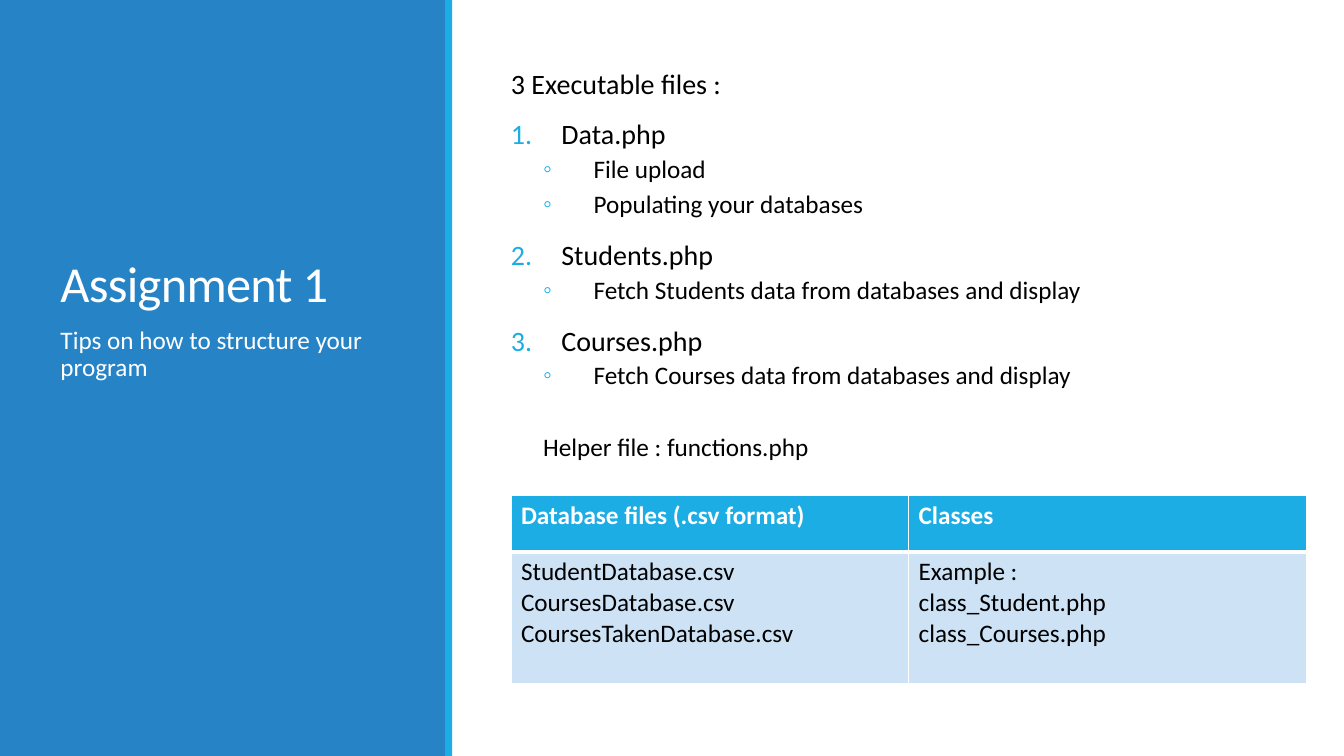
"""Build the Assignment 1 slide on structuring a program."""
from lxml.etree import SubElement, fromstring
from pptx import Presentation
from pptx.dml.color import RGBColor
from pptx.enum.shapes import MSO_SHAPE
from pptx.enum.text import MSO_ANCHOR, MSO_AUTO_SIZE, PP_ALIGN
from pptx.oxml.ns import nsdecls, qn
from pptx.util import Pt

COLORS = {"panel": "2683C6", "accent": "1CADE4", "cell": "CDE3F5",
          "white": "FFFFFF", "black": "000000"}


def write(para, text, color, size, bold=False, **spacing):
    span = para.add_run()
    span.text = text
    font = {"name": "Calibri", "size": Pt(size), "bold": bold}
    for name, value in font.items():
        setattr(span.font, name, value)
    span.font.color.rgb = RGBColor.from_string(COLORS[color])
    for name, value in {"alignment": PP_ALIGN.LEFT, **spacing}.items():
        setattr(para, name, value)
    return span


def place(box, left, top, width, height, anchor, side_margin):
    frame = box.text_frame
    for name, value in zip(("left", "top", "width", "height"), (left, top, width, height)):
        setattr(box, name, Pt(value))
    layout = {"word_wrap": True, "auto_size": MSO_AUTO_SIZE.NONE, "vertical_anchor": anchor,
              "margin_left": Pt(side_margin), "margin_right": Pt(side_margin),
              "margin_top": Pt(3.6), "margin_bottom": Pt(3.6)}
    for name, value in layout.items():
        setattr(frame, name, value)
    return frame


deck = Presentation()
deck.slide_width, deck.slide_height = Pt(960), Pt(540)
page = deck.slides.add_slide(deck.slide_layouts.get_by_name("Content with Caption"))
title, outline, subtitle = page.placeholders

panels = [(0, 319, "panel"), (318, 5, "accent")]
for order, (left, width, color) in enumerate(panels, start=2):
    panel = page.shapes.add_shape(MSO_SHAPE.RECTANGLE, Pt(left), 0, Pt(width), deck.slide_height)
    panel.shadow.inherit = False
    panel.fill.solid()
    panel.fill.fore_color.rgb = RGBColor.from_string(COLORS[color])
    panel.line.fill.background()
    page.shapes._spTree.insert(order, panel._element)

frame = place(title, 36, 46.8, 252, 180, MSO_ANCHOR.BOTTOM, 7.2)
span = write(frame.paragraphs[0], "Assignment 1", "white", 36, line_spacing=0.85)
span._r.get_or_add_rPr().set("spc", "-50")

frame = place(subtitle, 36, 230.4, 252, 266.4, MSO_ANCHOR.TOP, 7.2)
write(frame.paragraphs[0], "Tips on how to structure your program", "white", 18,
      line_spacing=0.9, space_before=Pt(12), space_after=Pt(2))

styles = {
    "intro": {"level": 0, "size": 20, "before": 12, "after": 2, "margin": 0, "indent": 0,
              "bullet": ("a:buNone", {})},
    "file": {"level": 0, "size": 20, "before": 12, "after": 2, "margin": 36, "indent": -36,
             "bullet": ("a:buAutoNum", {"type": "arabicPeriod"})},
    "task": {"level": 1, "size": 18, "before": 2, "after": 4, "margin": 59, "indent": -36,
             "bullet": ("a:buChar", {"char": "◦"})},
    "helper": {"level": 1, "size": 18, "before": 28, "after": 4, "margin": 23, "indent": 0,
               "bullet": ("a:buNone", {})},
}
items = [
    ("intro", "3 Executable files :"),
    ("file", "Data.php"),
    ("task", "File upload"),
    ("task", "Populating your databases"),
    ("file", "Students.php"),
    ("task", "Fetch Students data from databases and display"),
    ("file", "Courses.php"),
    ("task", "Fetch Courses data from databases and display"),
    ("helper", "Helper file : functions.php"),
]
frame = place(outline, 365, 46.8, 511.2, 374.4, MSO_ANCHOR.TOP, 0)
for order, (kind, text) in enumerate(items):
    para = frame.add_paragraph() if order else frame.paragraphs[0]
    style = styles[kind]
    write(para, text, "black", style["size"], level=style["level"], line_spacing=0.9,
          space_before=Pt(style["before"]), space_after=Pt(style["after"]))
    props = para._p.get_or_add_pPr()
    props.set("marL", str(Pt(style["margin"])))
    props.set("indent", str(Pt(style["indent"])))
    tint = SubElement(props, qn("a:buClr"))
    SubElement(tint, qn("a:srgbClr"), val=COLORS["accent"])
    tag, attributes = style["bullet"]
    SubElement(props, qn(tag), attributes)

rows = [
    (40, "accent", "white", ["Database files (.csv format)", "Classes"]),
    (94, "cell", "black", ["StudentDatabase.csv\nCoursesDatabase.csv\nCoursesTakenDatabase.csv",
                           "Example :\nclass_Student.php\nclass_Courses.php"]),
]
table = page.shapes.add_table(2, 2, Pt(365), Pt(354.2), Pt(568), Pt(134)).table
for row, (height, fill, color, texts) in enumerate(rows):
    table.rows[row].height = Pt(height)
    borders = {"lnL": 1, "lnR": 1, "lnT": 3 if row else 1, "lnB": 1 if row else 3}
    for column, text in enumerate(texts):
        cell = table.cell(row, column)
        cell.fill.solid()
        cell.fill.fore_color.rgb = RGBColor.from_string(COLORS[fill])
        for order, line in enumerate(text.split("\n")):
            para = cell.text_frame.add_paragraph() if order else cell.text_frame.paragraphs[0]
            write(para, line, color, 18, bold=row == 0)
        for order, (side, width) in enumerate(borders.items()):
            border = fromstring(
                f'<a:{side} {nsdecls("a")} w="{Pt(width)}"><a:solidFill>'
                f'<a:srgbClr val="{COLORS["white"]}"/></a:solidFill></a:{side}>')
            cell._tc.get_or_add_tcPr().insert(order, border)

deck.save("out.pptx")
